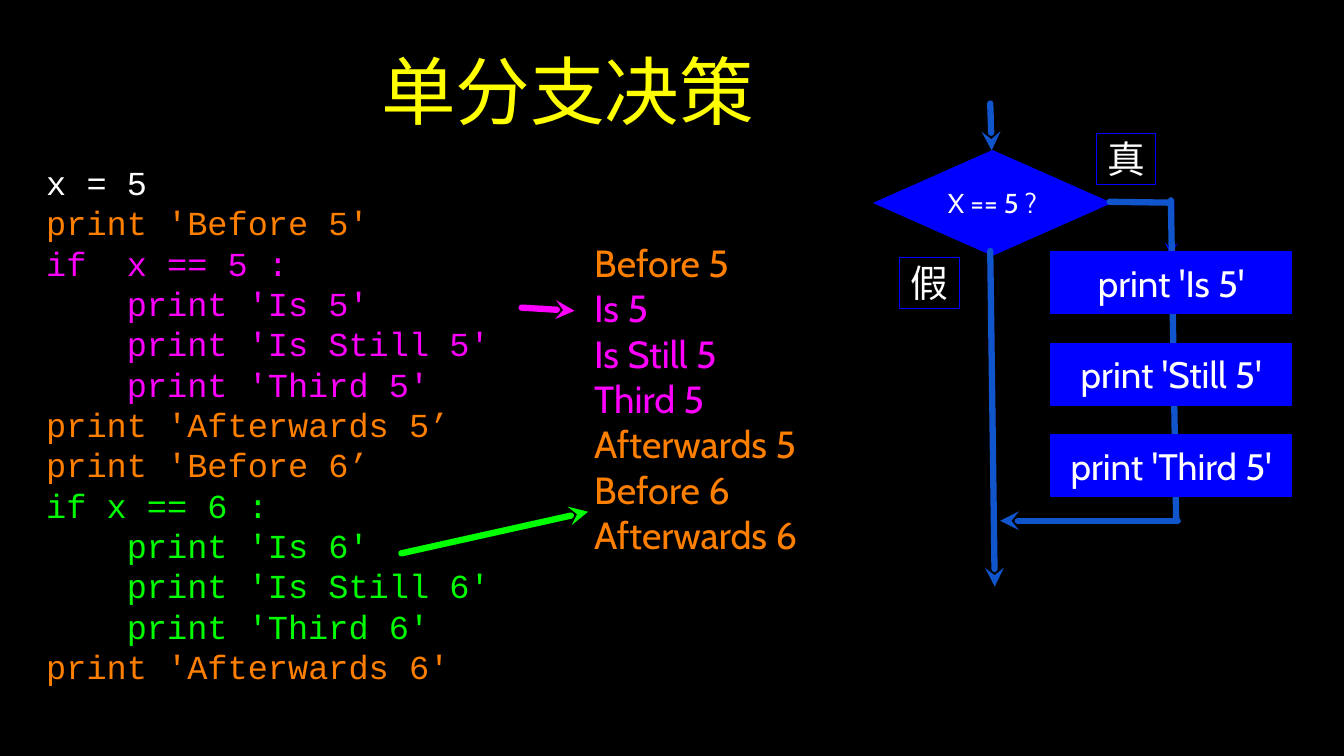
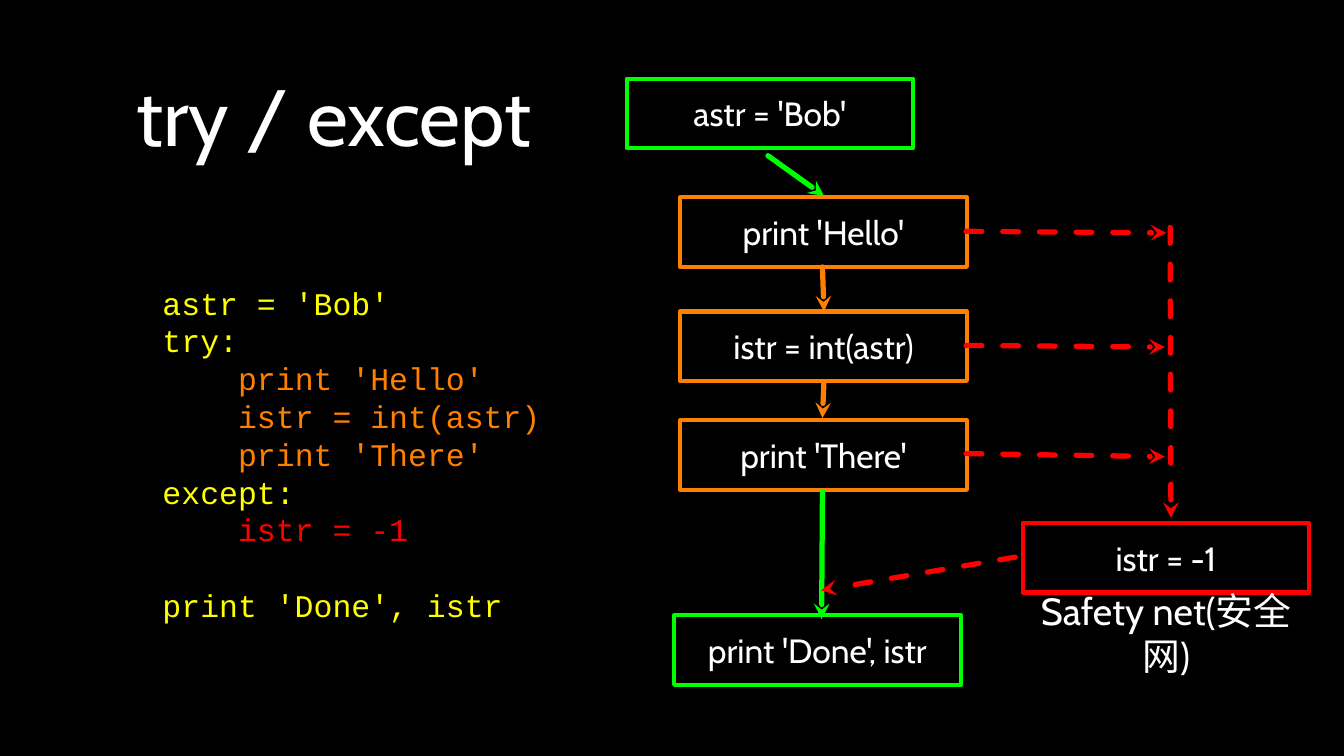
from lxml import etree
from pptx import Presentation
from pptx import util as u
from pptx.dml import color as col
from pptx.enum import dml, shapes, text
from pptx.oxml import ns

Pt = u.Pt
HUES = {
    "black": "000000", "white": "FFFFFF", "yellow": "FFFF00",
    "orange": "FF7F00", "pink": "FF00FF", "green": "00FF00",
    "red": "FF0000", "blue": "0000FF", "steel": "1155CC",
}
SANS, MONO = "Cabin", "Courier New"


def hue(name):
    """Return the colour of that name."""
    return col.RGBColor.from_string(HUES[name])


def write(frame, rows, size=32, font=SANS, tint="white", align="CENTER",
          pad=0, lead=None, gap=None):
    """Fill a text frame with rows, each a string or a (tint, string) pair."""
    frame.word_wrap = True
    frame.auto_size = text.MSO_AUTO_SIZE.NONE
    frame.vertical_anchor = text.MSO_ANCHOR.MIDDLE
    frame.margin_left = frame.margin_right = Pt(pad)
    frame.margin_top = frame.margin_bottom = Pt(pad)
    rows = [rows] if isinstance(rows, str) else rows
    for i, row in enumerate(rows):
        shade, line = (tint, row) if isinstance(row, str) else row
        para = frame.paragraphs[0] if i == 0 else frame.add_paragraph()
        para.alignment = text.PP_ALIGN[align]
        body = line.lstrip()
        depth = len(line) - len(body)
        if depth:
            para._p.get_or_add_pPr().set("marL", str(Pt(depth * size * 0.6)))
        if lead:
            para.line_spacing = Pt(lead)
        if gap and i == len(rows) - 1:
            para.space_before = Pt(gap)
        run = para.add_run()
        run.text = body
        run.font.name, run.font.size = font, Pt(size)
        run.font.color.rgb = hue(shade)


class Deck:
    """Hold the shared style and the slide being drawn."""

    def __init__(self):
        """Open a wide, black deck."""
        self.prs = Presentation()
        self.prs.slide_width, self.prs.slide_height = Pt(1280.16), Pt(720)
        fill = self.prs.slide_master.background.fill
        fill.solid()
        fill.fore_color.rgb = hue("black")

    def page(self, title, spot, **form):
        """Start a slide with its title."""
        self.slide = self.prs.slides.add_slide(self.prs.slide_layouts[5])
        head = self.slide.shapes.title
        head.left, head.top, head.width, head.height = map(Pt, spot)
        write(head.text_frame, title, pad=3, **form)

    def note(self, rows, spot, **form):
        """Add a plain text box."""
        box = self.slide.shapes.add_textbox(*map(Pt, spot))
        write(box.text_frame, rows, **form)

    def code(self, rows, spot, size, **form):
        """Add a code listing."""
        self.note(rows, spot, size=size, font=MONO, align="LEFT",
                  lead=size * 1.2, **form)

    def box(self, label, spot, edge="blue", wide=0.75, fill=None,
            kind="RECTANGLE", **form):
        """Add an outlined shape with a label."""
        shape = self.slide.shapes.add_shape(
            shapes.MSO_SHAPE[kind], *map(Pt, spot))
        shape.shadow.inherit = False
        if fill:
            shape.fill.solid()
            shape.fill.fore_color.rgb = hue(fill)
        else:
            shape.fill.background()
        shape.line.color.rgb = hue(edge)
        shape.line.width = Pt(wide)
        write(shape.text_frame, label, **form)

    def line(self, start, end, tint, wide=5, tip=True, dash=False):
        """Add a round-capped line, with an arrowhead at its end if asked."""
        link = self.slide.shapes.add_connector(
            shapes.MSO_CONNECTOR.STRAIGHT, *map(Pt, start + end))
        link.line.color.rgb = hue(tint)
        link.line.width = Pt(wide)
        if dash:
            link.line.dash_style = dml.MSO_LINE.DASH
        stroke = link.line._get_or_add_ln()
        stroke.set("cap", "rnd")
        if tip:
            etree.SubElement(stroke, ns.qn("a:tailEnd"), type="stealth")
        etree.SubElement(link._element.spPr, ns.qn("a:effectLst"))


def branch(deck):
    """Draw the one-way decision slide."""
    deck.page("单分支决策", (167, 14.4, 747.4, 141.1), size=71, tint="yellow")
    deck.code([
        ("white", "x = 5"),
        ("orange", "print 'Before 5'"),
        ("pink", "if  x == 5 :"),
        ("pink", "    print 'Is 5'"),
        ("pink", "    print 'Is Still 5'"),
        ("pink", "    print 'Third 5'"),
        ("orange", "print 'Afterwards 5’"),
        ("orange", "print 'Before 6’"),
        ("green", "if x == 6 :"),
        ("green", "    print 'Is 6'"),
        ("green", "    print 'Is Still 6'"),
        ("green", "    print 'Third 6'"),
        ("orange", "print 'Afterwards 6'"),
    ], (44, 120.2, 450, 567.4), 32)
    deck.note([
        "Before 5", ("pink", "Is 5"), ("pink", "Is Still 5"),
        ("pink", "Third 5"), "Afterwards 5", "Before 6", "Afterwards 6",
    ], (566, 226.8, 194, 305.3), size=36, tint="orange", align="LEFT")
    deck.line((496.8, 293), (547.2, 296), "pink", 6)
    deck.line((382.3, 527), (560.2, 487.4), "green", 6)

    deck.line((943.2, 98.6), (944.6, 143.3), "steel", 6)
    deck.box("X == 5 ?", (832.3, 143.3, 226, 100), fill="blue",
             kind="DIAMOND", size=26)
    deck.line((943.2, 239), (947.5, 558.7), "steel", 6)
    deck.line((1057, 192.2), (1113.8, 193), "steel", 6, tip=False)
    deck.line((1116.7, 192.2), (1115.3, 243.4), "blue", 4)
    deck.line((1115.3, 190.8), (1120.3, 494.6), "steel", 6, tip=False)
    deck.line((1121.8, 496), (952.6, 496), "steel", 6)
    for label, left, top in (("真", 1044, 126.7), ("假", 856.8, 244.8)):
        deck.box(label, (left, top, 57, 49), size=36)
    for i, step in enumerate(("Is", "Still", "Third")):
        deck.box(f"print '{step} 5'", (1000.8, 239.8 + 87.1 * i, 229.7, 59),
                 fill="blue", size=35)


def safety(deck):
    """Draw the try / except slide."""
    deck.page("try / except", (90.7, 18.7, 454.3, 180.7), size=76)
    deck.code([
        "astr = 'Bob'",
        "try:",
        ("orange", "    print 'Hello'"),
        ("orange", "    istr = int(astr)"),
        ("orange", "    print 'There'"),
        "except:",
        ("red", "    istr = -1"),
        "print 'Done', istr",
    ], (154.8, 225.4, 407.5, 413.3), 30, tint="yellow", gap=36)

    for label, left, top, edge in (
        ("astr = 'Bob'", 596.9, 74.9, "green"),
        ("print 'Hello'", 648, 188, "orange"),
        ("istr = int(astr)", 648, 296.6, "orange"),
        ("print 'There'", 648, 400.3, "orange"),
        ("print 'Done', istr", 642.2, 586, "green"),
        ("istr = -1", 974.2, 498.2, "red"),
    ):
        deck.box(label, (left, top, 272.9, 66.2), edge, 4)

    for start, end, tint in (
        ((731.5, 148.3), (784.8, 186.5), "green"),
        ((783.4, 254.2), (784.8, 296.6), "orange"),
        ((784.8, 363.6), (783.4, 398.2), "orange"),
        ((783.4, 468), (782.6, 589.7), "green"),
        ((920.2, 220.3), (1111, 221.8), "red"),
        ((920.2, 329), (1109.5, 330.5), "red"),
        ((920.2, 432), (1109.5, 434.9), "red"),
        ((1114.6, 216.7), (1115.3, 493.2), "red"),
        ((967, 530.6), (781.9, 562.3), "red"),
    ):
        deck.line(start, end, tint, dash=tint == "red")
    deck.note("Safety net(安全网)", (974.2, 578.2, 272.9, 49), size=36)


def main():
    """Build and save both slides."""
    deck = Deck()
    branch(deck)
    safety(deck)
    deck.prs.save("out.pptx")


if __name__ == "__main__":
    main()
